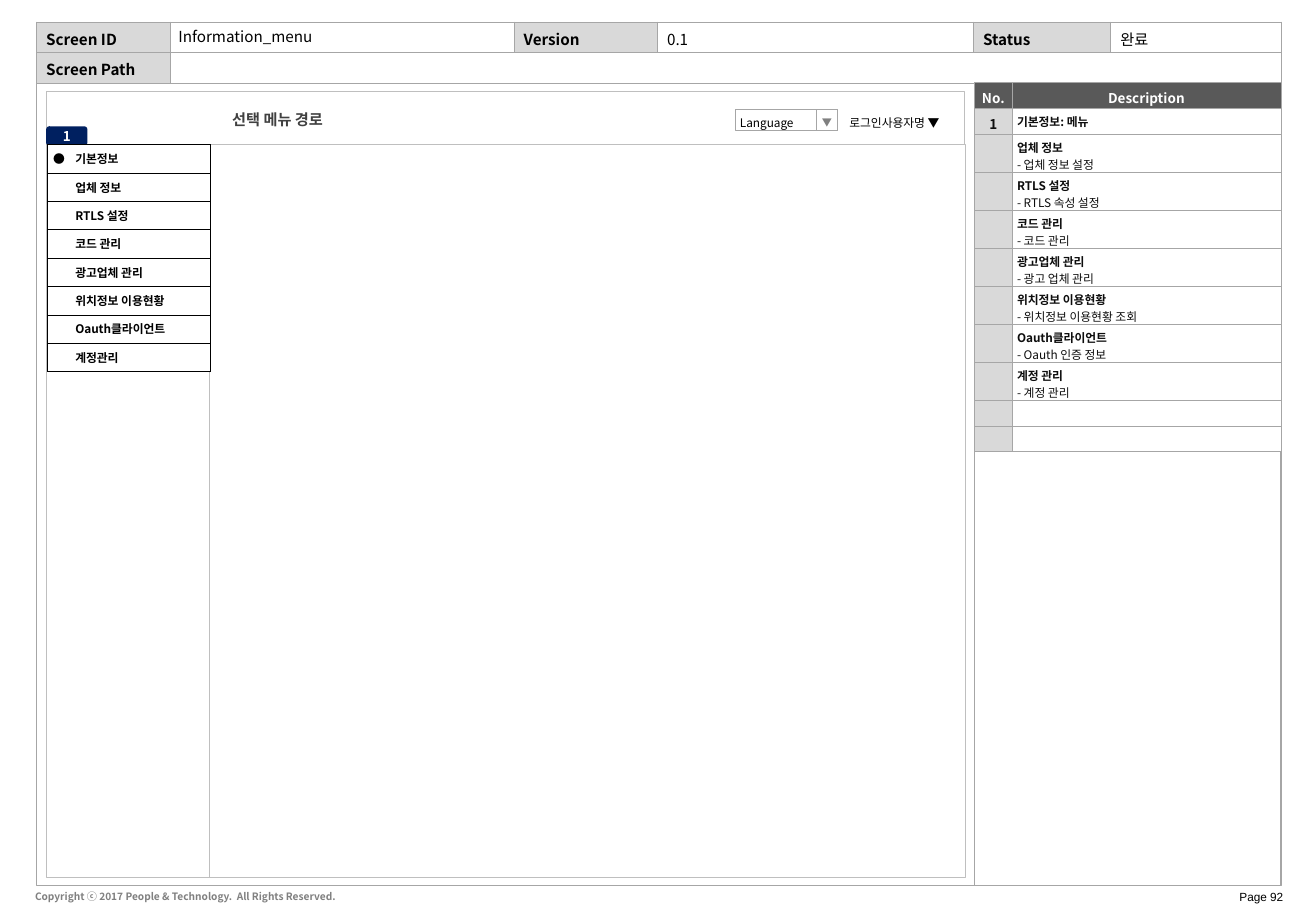
from lxml.etree import SubElement
from pptx import Presentation
from pptx.dml.color import RGBColor
from pptx.enum.shapes import MSO_SHAPE as Shape
from pptx.enum.text import MSO_ANCHOR as Anchor, PP_ALIGN as Align
from pptx.oxml.ns import qn
from pptx.util import Inches, Pt

FONT = "Noto Sans CJK KR"
COLORS = {
    "white": "FFFFFF", "black": "000000", "ink": "0D0D0D", "title": "404040",
    "dark": "595959", "gray": "808080", "line": "A6A6A6", "soft": "BFBFBF",
    "label": "D9D9D9", "navy": "002060",
}
NO_TABLE_STYLE = "{2D5ABB26-0587-4C30-8999-92F81FD0307C}"
HAIRLINE = 0.25

HEADER_ROWS = [
    ["Screen ID", "", "Version", "0.1", "Status", "완료"],
    ["Screen Path", "", "", "", "", ""],
]
HEADER_LABELS = {"Screen ID", "Version", "Status", "Screen Path"}
DESCRIPTIONS = [
    ("업체 정보", "- 업체 정보 설정"),
    ("RTLS 설정", "- RTLS 속성 설정"),
    ("코드 관리", "- 코드 관리"),
    ("광고업체 관리", "- 광고 업체 관리"),
    ("위치정보 이용현황", "- 위치정보 이용현황 조회"),
    ("Oauth클라이언트", "- Oauth 인증 정보"),
    ("계정 관리", "- 계정 관리"),
]
MENU = ["기본정보", "업체 정보", "RTLS 설정", "코드 관리", "광고업체 관리",
        "위치정보 이용현황", "Oauth클라이언트", "계정관리"]

# (left, top, width, height), line colour
PAGE_FRAMES = [
    ((0.3, 0.68, 10.24, 6.61), "line"),
    ((8.02, 0.68, 2.52, 6.61), "line"),
    ((0.38, 0.76, 7.56, 6.46), "soft"),
]
SCREEN_FRAMES = [
    ((1.72, 1.19, 6.22, 6.03), "soft"),
    ((0.38, 0.75, 7.56, 0.44), "soft"),
]
CONTROL = dict(size=7, spacing=1.5, insets=(0.04, 0.05, 0.04, 0.05))


def color(name):
    return RGBColor.from_string(COLORS[name])


def write(frame, lines, insets, size=9, ink="black", bold=False, align=None,
          anchor=Anchor.MIDDLE, spacing=None, font=FONT, wrap=True):
    """Fill a text frame; each line is a string or a (string, bold) pair."""
    frame.word_wrap = wrap
    frame.vertical_anchor = anchor
    for side, inset in zip(("left", "top", "right", "bottom"), insets):
        setattr(frame, f"margin_{side}", Inches(inset))
    fill_paragraphs(frame, lines, size, ink, bold, align, spacing, font)


def fill_paragraphs(frame, lines, size, ink, bold, align=None, spacing=None, font=FONT):
    for index, line in enumerate(lines):
        text, heavy = line if isinstance(line, tuple) else (line, bold)
        para = frame.paragraphs[0] if index == 0 else frame.add_paragraph()
        para.alignment, para.line_spacing = align, spacing
        if not text:
            SubElement(para._p, qn("a:endParaRPr"), sz=str(size * 100))
            continue
        span = para.add_run()
        span.text = text
        values = {"size": Pt(size), "bold": heavy, "name": font}
        for name, value in values.items():
            setattr(span.font, name, value)
        span.font.color.rgb = color(ink)
        SubElement(span._r.get_or_add_rPr(), qn("a:ea"), typeface=font)


def add_box(page, place, fill=None, line=None, kind=Shape.RECTANGLE, lines=(), **text):
    box = page.shapes.add_shape(kind, *map(Inches, place))
    box.shadow.inherit = False
    if fill:
        box.fill.solid()
        box.fill.fore_color.rgb = color(fill)
    else:
        box.fill.background()
    if line:
        box.line.color.rgb = color(line)
        box.line.width = Pt(HAIRLINE)
    else:
        box.line.fill.background()
    if lines:
        write(box.text_frame, lines, **text)


def add_text(page, place, text, insets=(0.1, 0.05, 0.1, 0.05), **options):
    box = page.shapes.add_textbox(*map(Inches, place))
    write(box.text_frame, [text], insets, **options)


def add_grid(page, left, top, widths, heights):
    shape = page.shapes.add_table(len(heights), len(widths), Inches(left), Inches(top),
                                  Inches(sum(widths)), Inches(sum(heights)))
    grid = shape.table
    grid.first_row = grid.horz_banding = False
    grid._tbl.tblPr.find(qn("a:tableStyleId")).text = NO_TABLE_STYLE
    for column, width in zip(grid.columns, widths):
        column.width = Inches(width)
    for row, height in zip(grid.rows, heights):
        row.height = Inches(height)
    return grid


def style_cell(cell, lines, fill, border, insets, sides="LRTB",
               anchor=Anchor.MIDDLE, **text):
    for side, inset in zip(("left", "top", "right", "bottom"), insets):
        setattr(cell, f"margin_{side}", Inches(inset))
    cell.vertical_anchor = anchor
    properties = cell._tc.get_or_add_tcPr()
    for side in sides:
        edge = SubElement(properties, qn(f"a:ln{side}"), w=str(Pt(HAIRLINE)))
        SubElement(SubElement(edge, qn("a:solidFill")), qn("a:srgbClr"), val=COLORS[border])
    cell.fill.solid()
    cell.fill.fore_color.rgb = color(fill)
    fill_paragraphs(cell.text_frame, lines, **text)


def add_header(page):
    grid = add_grid(page, 0.3, 0.18, [1.1, 2.83, 1.18, 2.6, 1.13, 1.4], [0.25] * 2)
    for r, row in enumerate(HEADER_ROWS):
        for c, text in enumerate(row):
            label = text in HEADER_LABELS
            style_cell(grid.cell(r, c), [text], "label" if label else "white", "line",
                       (0.08, 0.05, 0, 0.05), anchor=Anchor.TOP,
                       size=9, ink="black", bold=label)
    grid.cell(1, 1).merge(grid.cell(1, 5))


def add_descriptions(page):
    rows = [("No.", ["Description"]), ("1", ["기본정보: 메뉴"])]
    rows += [("", [(name, True), (detail, False)]) for name, detail in DESCRIPTIONS]
    rows += [("", [""])] * 2
    heights = [0.31 if len(lines) == 2 else 0.21 for _, lines in rows]
    grid = add_grid(page, 8.02, 0.68, [0.31, 2.21], heights)
    for r, (number, lines) in enumerate(rows):
        head = r == 0
        ink = "white" if head else "ink"
        shared = dict(border="line", insets=[0.04] * 4, ink=ink, bold=True)
        style_cell(grid.cell(r, 0), [number], "dark" if head else "label",
                   size=8 if number else 7, align=Align.CENTER, **shared)
        style_cell(grid.cell(r, 1), lines, "dark" if head else "white",
                   size=8 if head else 7, align=Align.CENTER if head else None, **shared)


def add_menu(page):
    grid = add_grid(page, 0.39, 1.19, [0.19, 1.03, 0.11], [1.87 / len(MENU)] * len(MENU))
    for r, name in enumerate(MENU):
        cells = [("●" if r == 0 else "", "LTB", Align.CENTER), (name, "TB", None), ("", "RTB", None)]
        for c, (text, sides, align) in enumerate(cells):
            style_cell(grid.cell(r, c), [text], "white", "black", [0.04] * 4, sides,
                       size=7, ink="black", bold=True, align=align)


def main():
    deck = Presentation()
    deck.slide_width, deck.slide_height = Inches(10.83), Inches(7.5)
    page = deck.slides.add_slide(deck.slide_layouts[6])

    add_text(page, (9.57, 7.27, 1.12, 0.22), "Page 92", (0.13, 0.07, 0.13, 0.07),
             size=7, font="Arial", align=Align.RIGHT, wrap=False)
    for place, line in PAGE_FRAMES:
        add_box(page, place, line=line)
    add_text(page, (0.19, 7.28, 3.26, 0.2),
             "Copyright ⓒ 2017 People & Technology.  All Rights Reserved.",
             size=6, ink="gray", bold=True, anchor=Anchor.TOP)
    add_header(page)
    add_descriptions(page)

    for place, line in SCREEN_FRAMES:
        add_box(page, place, "white", line)
    add_box(page, (6.05, 0.9, 0.84, 0.17), "white", "line", lines=["Language"],
            align=Align.LEFT, **CONTROL)
    add_box(page, (6.72, 0.9, 0.17, 0.17), "white", "line", lines=["▼"],
            ink="gray", align=Align.CENTER, **{**CONTROL, "size": 6})
    add_box(page, (0.38, 1.04, 0.34, 0.16), "navy", kind=Shape.ROUNDED_RECTANGLE,
            lines=["1"], insets=(0.02, 0.05, 0.02, 0.05), size=8, ink="white",
            bold=True, align=Align.CENTER)
    add_text(page, (1.87, 0.86, 1.1, 0.24), "선택 메뉴 경로", (0.04, 0, 0.04, 0),
             ink="title", bold=True)
    add_box(page, (6.95, 0.9, 0.91, 0.17), "white", lines=["로그인사용자명 ▼"],
            align=Align.LEFT, **CONTROL)
    add_menu(page)
    add_text(page, (1.37, 0.17, 6.64, 0.26), "Information_menu")
    deck.save("out.pptx")


if __name__ == "__main__":
    main()
